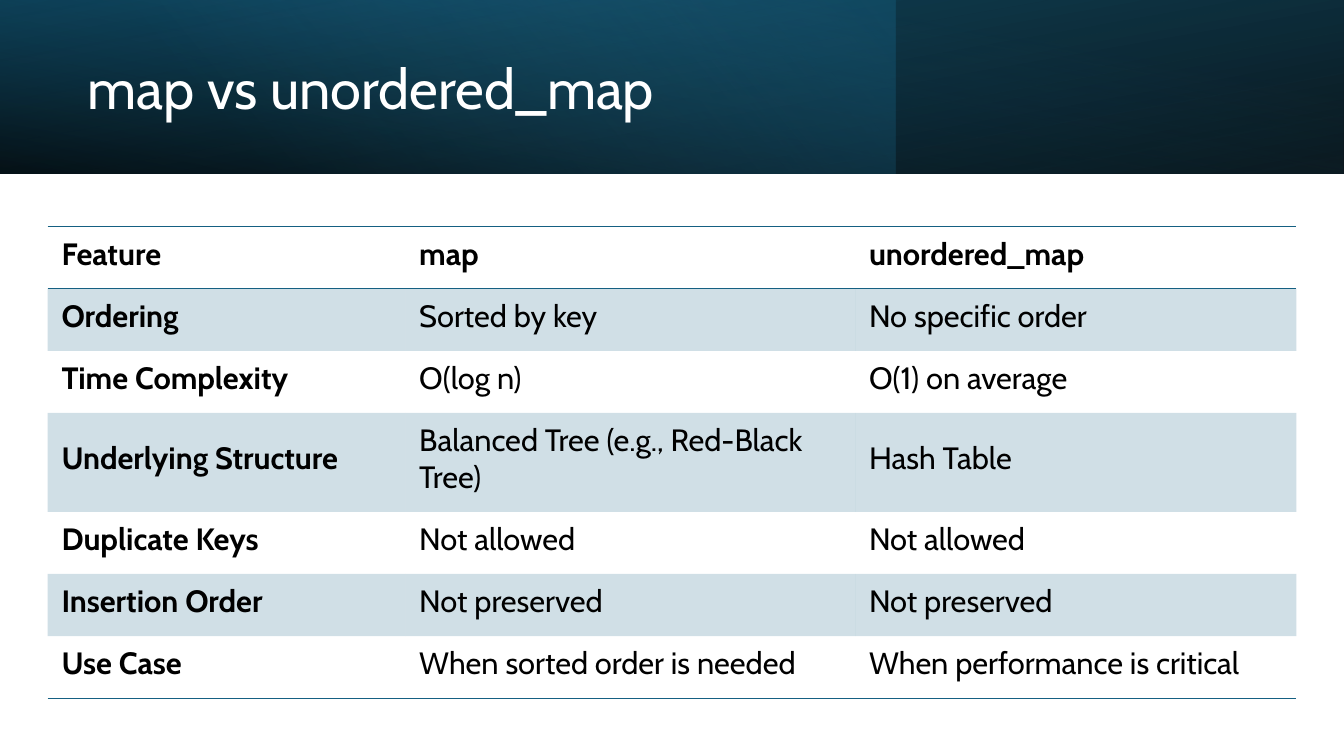
"""Build a slide comparing map with unordered_map in a banded table."""
import pptx
import pptx.dml.color
import pptx.enum.shapes
import pptx.enum.text
import pptx.oxml
import pptx.oxml.ns
import pptx.util

Pt = pptx.util.Pt
RGB = pptx.dml.color.RGBColor
MIDDLE = pptx.enum.text.MSO_ANCHOR.MIDDLE
NS = pptx.oxml.ns.nsdecls("a")

TITLE = "map vs unordered_map"
ROWS = [
    ("Feature", "map", "unordered_map"),
    ("Ordering", "Sorted by key", "No specific order"),
    ("Time Complexity", "O(log n)", "O(1) on average"),
    ("Underlying Structure", "Balanced Tree (e.g., Red-Black Tree)", "Hash Table"),
    ("Duplicate Keys", "Not allowed", "Not allowed"),
    ("Insertion Order", "Not preserved", "Not preserved"),
    ("Use Case", "When sorted order is needed", "When performance is critical"),
]

FONT = "Cabin"
BLACK = RGB(0, 0, 0)
WHITE = RGB(255, 255, 255)
TEAL = RGB(0x15, 0x60, 0x82)
DEEP_TEAL = RGB(0x10, 0x48, 0x62)
SKY = RGB(0x46, 0xB1, 0xE1)

WIDTH, HEIGHT, BANNER_H = 960, 540, 124
BANNER = [
    (WIDTH, 180, True, 100, [(0, BLACK, 96), (100, DEEP_TEAL, 100)]),
    (640, 0, False, 140, [(0, TEAL, 41), (74, SKY, 0)]),
    (WIDTH, 0, True, 260, [(0, BLACK, 63), (78, TEAL, 15)]),
]
TABLE_X, TABLE_Y = 34, 161.8
COL_W = [255.5, 321.3, 315.2]
ROW_H, TALL_ROW_H, TALL_ROW = 44.4, 70.6, 3


def add_run(tf, text, size, color, bold=False):
    p = tf.paragraphs[0]
    r = p.add_run()
    r.text = text
    r.font.name, r.font.size, r.font.bold = FONT, Pt(size), bold
    r.font.color.rgb = color
    return p


def add_gradient(slide, width, rotation, flip, angle, stops):
    sp = slide.shapes.add_shape(
        pptx.enum.shapes.MSO_SHAPE.RECTANGLE, 0, 0, Pt(width), Pt(BANNER_H))
    sp.rotation = rotation
    sp.shadow.inherit = False
    sp.line.fill.background()
    spPr = sp.element.spPr
    if flip:
        spPr.find(pptx.oxml.ns.qn("a:xfrm")).set("flipH", "1")
    gs = "".join(
        f'<a:gs pos="{pos * 1000}"><a:srgbClr val="{color}">'
        f'<a:alpha val="{alpha * 1000}"/></a:srgbClr></a:gs>'
        for pos, color, alpha in stops)
    spPr.insert(2, pptx.oxml.parse_xml(
        f'<a:gradFill {NS} rotWithShape="1"><a:gsLst>{gs}</a:gsLst>'
        f'<a:lin ang="{angle * 60000}" scaled="0"/></a:gradFill>'))


def style_cell(cell, banded, edges):
    cell.vertical_anchor = MIDDLE
    cell.margin_left = cell.margin_right = cell.margin_bottom = Pt(10)
    cell.margin_top = Pt(5)
    tcPr = cell._tc.get_or_add_tcPr()
    if banded:
        cell.fill.solid()
        cell.fill.fore_color.rgb = TEAL
        color = tcPr.find(".//" + pptx.oxml.ns.qn("a:srgbClr"))
        color.append(pptx.oxml.parse_xml(f'<a:alpha {NS} val="20000"/>'))
    else:
        cell.fill.background()
    for i, edge in enumerate(edges):
        tcPr.insert(i, pptx.oxml.parse_xml(
            f'<a:ln{edge} {NS} w="12700"><a:solidFill><a:srgbClr val="{TEAL}"/>'
            f'</a:solidFill></a:ln{edge}>'))


def add_comparison(slide):
    heights = [TALL_ROW_H if i == TALL_ROW else ROW_H for i in range(len(ROWS))]
    table = slide.shapes.add_table(
        len(ROWS), len(COL_W), Pt(TABLE_X), Pt(TABLE_Y),
        Pt(sum(COL_W)), Pt(sum(heights))).table
    table.first_row = table.horz_banding = False
    style_id = table._tbl.tblPr.find(pptx.oxml.ns.qn("a:tableStyleId"))
    style_id.text = "{2D5ABB26-0587-4C30-8999-92F81FD0307C}"
    for col, width in zip(table.columns, COL_W):
        col.width = Pt(width)
    edges = {0: "TB", len(ROWS) - 1: "B"}
    for i, texts in enumerate(ROWS):
        table.rows[i].height = Pt(heights[i])
        for j, text in enumerate(texts):
            cell = table.cell(i, j)
            style_cell(cell, i % 2 == 1, edges.get(i, ""))
            add_run(cell.text_frame, text, 22, BLACK, i == 0 or j == 0)


def main():
    prs = pptx.Presentation()
    prs.slide_width, prs.slide_height = Pt(WIDTH), Pt(HEIGHT)
    slide = prs.slides.add_slide(prs.slide_layouts[6])
    for layer in BANNER:
        add_gradient(slide, *layer)
    tf = slide.shapes.add_textbox(Pt(55.4), Pt(19.4), Pt(556), Pt(91.4)).text_frame
    tf.word_wrap = True
    tf.vertical_anchor = MIDDLE
    add_run(tf, TITLE, 40, WHITE).line_spacing = 0.9
    add_comparison(slide)
    prs.save("out.pptx")


if __name__ == "__main__":
    main()
